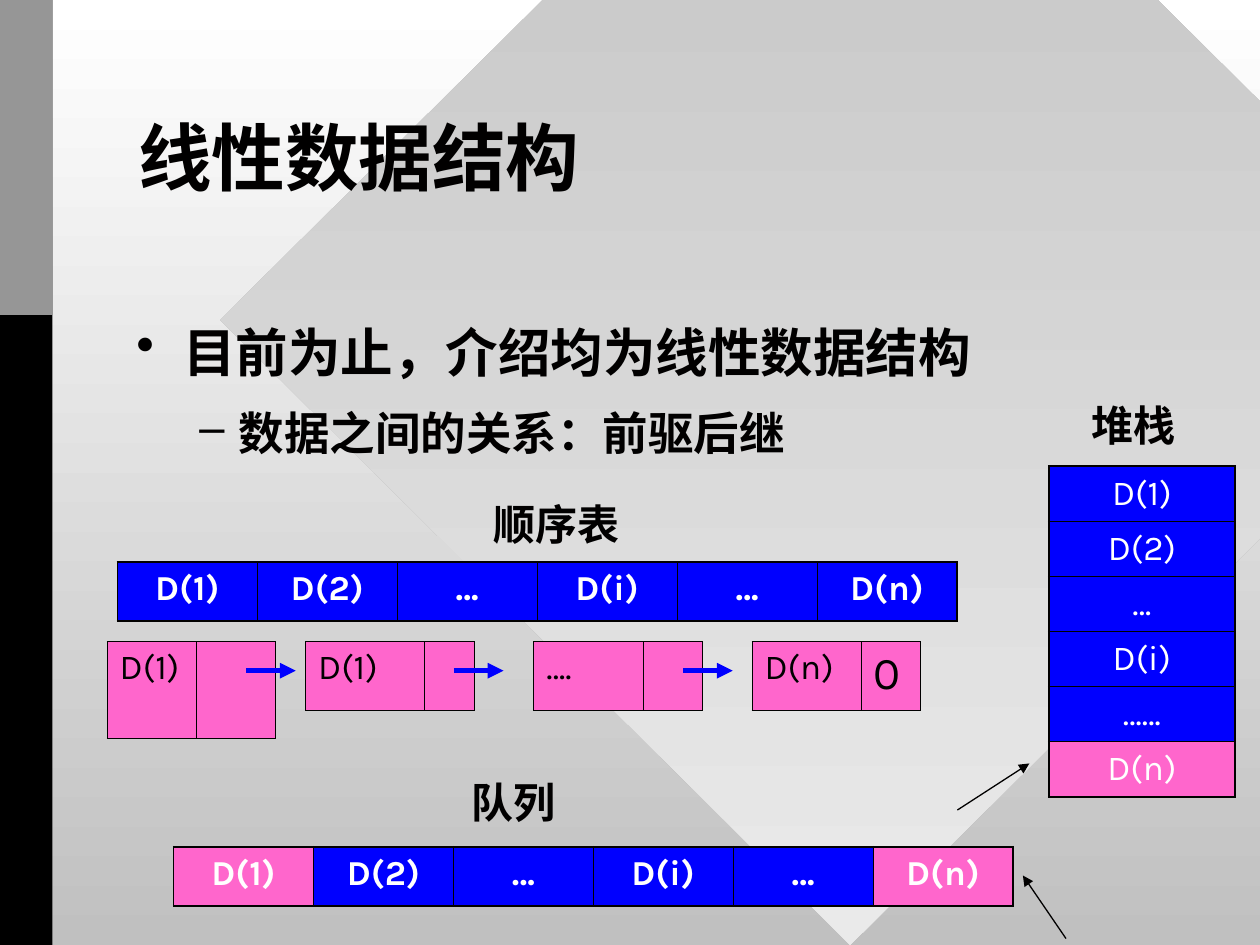
"""Build the slide on linear data structures."""
from lxml import etree
from pptx import Presentation
from pptx import util as u
from pptx.dml import color
from pptx.enum import shapes, text
from pptx.oxml import ns

BLACK, WHITE, BLUE, PINK = "010000", "FFFFFF", "0000FF", "FF66CC"
THIN, THICK = 0.45, 1.08


def rgb(value):
    return color.RGBColor.from_string(value)


def child(parent, tag, **attributes):
    return etree.SubElement(parent, ns.qn(tag), attributes)


def write(paragraph, content, size=20, ink=BLACK, bold=False, align=None,
          spacing=None, before=None, bullet=None, level=0, margin=0, hanging=0):
    if bullet:
        properties = paragraph._p.get_or_add_pPr()
        properties.set("marL", str(u.Cm(margin)))
        properties.set("indent", str(-u.Cm(hanging)))
        child(child(properties, "a:buClr"), "a:srgbClr", val=ink)
        child(properties, "a:buChar", char=bullet)
        paragraph.level = level
    if align is not None:
        paragraph.alignment = align
    if spacing:
        paragraph.line_spacing = spacing
    if before:
        paragraph.space_before = u.Pt(before)
    run = paragraph.add_run()
    run.text = content
    run.font.name = "Karla"
    run.font.size = u.Pt(size)
    run.font.bold = bold
    run.font.color.rgb = rgb(ink)


def fade(fill, top, bottom):
    fill.gradient()
    fill.gradient_angle = 270
    for stop, position, value in zip(fill.gradient_stops, (0, 1), (top, bottom)):
        stop.position = position
        stop.color.rgb = rgb(value)


class Deck:
    def __init__(self):
        self.presentation = Presentation()
        self.presentation.slide_width = u.Cm(25.4)
        self.presentation.slide_height = u.Cm(19.05)
        self.slide = self.presentation.slides.add_slide(self.presentation.slide_layouts[6])
        fade(self.slide.background.fill, WHITE, "C0C0C0")

    def shape(self, kind, left, top, width, height, fill=None):
        shape = self.slide.shapes.add_shape(kind, *map(u.Cm, (left, top, width, height)))
        shape.shadow.inherit = False
        shape.line.fill.background()
        if fill:
            shape.fill.solid()
            shape.fill.fore_color.rgb = rgb(fill)
        return shape

    def frame(self, left, top, width, height, wrap=True, anchor=text.MSO_ANCHOR.TOP):
        box = self.slide.shapes.add_textbox(*map(u.Cm, (left, top, width, height)))
        box.text_frame.word_wrap = wrap
        box.text_frame.vertical_anchor = anchor
        return box.text_frame

    def label(self, content, left, top, width):
        frame = self.frame(left, top, width, 1.27, wrap=False)
        frame.auto_size = text.MSO_AUTO_SIZE.SHAPE_TO_FIT_TEXT
        write(frame.paragraphs[0], content, 24, bold=True)

    def arrow(self, start, end, ink=BLACK, weight=0.75):
        connector = self.slide.shapes.add_connector(
            shapes.MSO_CONNECTOR.STRAIGHT, *map(u.Cm, start + end))
        connector.line.color.rgb = rgb(ink)
        connector.line.width = u.Pt(weight)
        properties = connector._element.spPr
        child(properties.find(ns.qn("a:ln")), "a:tailEnd", type="triangle")
        child(properties, "a:effectLst")

    def table(self, rows, left, top, widths, height, fills, edge=THICK,
              anchor=text.MSO_ANCHOR.TOP, sizes=None, **style):
        count = len(rows)
        table = self.slide.shapes.add_table(
            count, len(widths), *map(u.Cm, (left, top, sum(widths), height * count))).table
        table.first_row = table.horz_banding = False
        for column, width in zip(table.columns, widths):
            column.width = u.Cm(width)
        for y, row in enumerate(rows):
            table.rows[y].height = u.Cm(height)
            for x, content in enumerate(row):
                cell = table.cell(y, x)
                outer = {"L": x == 0, "R": x == len(widths) - 1,
                         "T": y == 0, "B": y == count - 1}
                for side, is_outer in outer.items():
                    weight = edge if is_outer else THIN
                    line = child(cell._tc.get_or_add_tcPr(), f"a:ln{side}", w=str(u.Pt(weight)))
                    child(child(line, "a:solidFill"), "a:srgbClr", val=BLACK)
                cell.fill.solid()
                cell.fill.fore_color.rgb = rgb(fills[y + x])
                cell.vertical_anchor = anchor
                if content:
                    size = sizes[x] if sizes else 20
                    write(cell.text_frame.paragraphs[0], content, size, **style)


def main():
    deck = Deck()
    diamond = deck.shape(shapes.MSO_SHAPE.DIAMOND, 4.44, -6.15, 25.4, 25.2)
    fade(diamond.fill, "C0C0C0", "EAEAEA")
    for height, fill in ((19.05, "000000"), (6.35, "969696")):
        deck.shape(shapes.MSO_SHAPE.RECTANGLE, 0, 0, 1.06, height, fill)

    title = deck.frame(2.54, 1.7, 20.32, 3.17, anchor=text.MSO_ANCHOR.MIDDLE)
    write(title.paragraphs[0], "线性数据结构", 42, bold=True, spacing=0.85)
    body = deck.frame(2.5, 6.32, 20.96, 10.16)
    write(body.paragraphs[0], "目前为止，介绍均为线性数据结构", 30, bold=True,
          bullet="•", margin=0.95, hanging=0.95)
    write(body.add_paragraph(), "数据之间的关系：前驱后继", 26, bold=True, before=13,
          bullet="–", level=1, margin=2.06, hanging=0.79)

    for content, left, top, width in (("顺序表", 9.7, 9.93, 3.1),
                                      ("堆栈", 21.75, 7.92, 2.25),
                                      ("队列", 9.25, 15.52, 2.25)):
        deck.label(content, left, top, width)

    items = ["D(1)", "D(2)", "…", "D(i)", "…", "D(n)"]
    centred = {"ink": WHITE, "align": text.PP_ALIGN.CENTER}
    widths = [2.82] * len(items)
    deck.table([items], 2.37, 11.33, widths, 1.19, [BLUE] * 6, bold=True, **centred)
    deck.table([items], 3.5, 17.07, widths, 1.19,
               [PINK] + [BLUE] * 4 + [PINK], bold=True, **centred)
    stack = items[:4] + ["……", "D(n)"]
    deck.table([[item] for item in stack], 21.14, 9.4, [3.76], 1.11,
               [BLUE] * 5 + [PINK], anchor=text.MSO_ANCHOR.MIDDLE, **centred)

    nodes = (("D(1)", "", 2.16, (1.8, 1.6), 1.96),
             ("D(1)", "", 6.16, (2.4, 1.0), 1.4),
             ("….", "", 10.76, (2.2, 1.2), 1.4),
             ("D(n)", "0", 15.16, (2.2, 1.2), 1.4))
    for data, link, left, parts, height in nodes:
        deck.table([[data, link]], left, 12.93, parts, height, [PINK] * 2,
                   edge=THIN, sizes=(20, 26))
    for left in (4.96, 9.15, 13.77):
        deck.arrow((left, 13.52), (left + 1, 13.52), BLUE, 3)
    deck.arrow((19.3, 16.33), (20.75, 15.39))
    deck.arrow((21.49, 18.92), (20.62, 17.65))
    deck.presentation.save("out.pptx")


if __name__ == "__main__":
    main()
